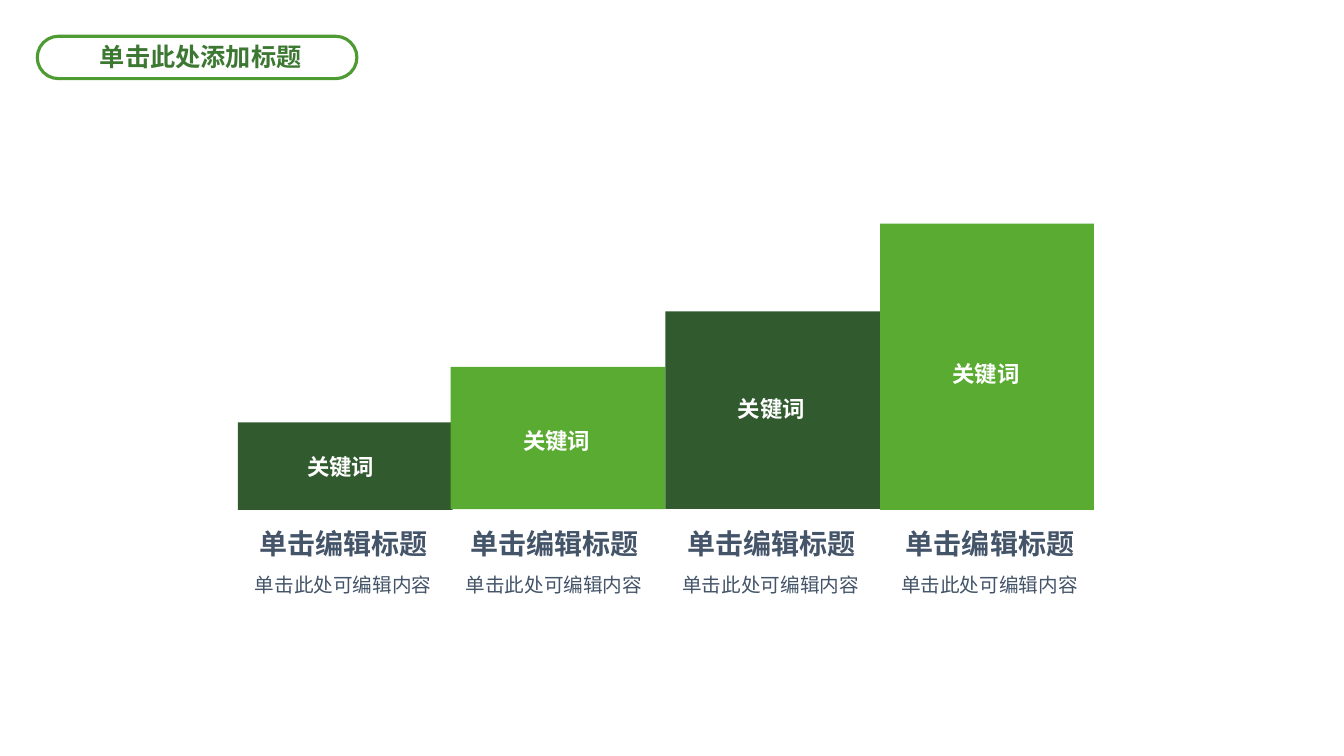
"""Build a slide of four rising steps with keywords and captions."""
from dataclasses import dataclass

import pptx
import pptx.dml.color
import pptx.enum.shapes
import pptx.enum.text
import pptx.oxml
import pptx.oxml.ns
import pptx.shapes.autoshape
import pptx.slide
import pptx.util

PX = 9144


@dataclass(frozen=True)
class Theme:
    """Colours, fonts and type sizes of the slide."""
    dark: str = "315B2F"
    light: str = "5AAB31"
    outline: str = "4F9B33"
    title: str = "3C7832"
    caption: str = "445469"
    white: str = "FFFFFF"
    latin: str = "Arial"
    asian: str = "Noto Sans CJK SC"
    title_size: int = 18
    heading_size: int = 20
    detail_size: int = 14
    keyword_size: int = 16


@dataclass(frozen=True)
class Frame:
    """A rectangle on the slide in px."""
    left: int
    top: int
    width: int
    height: int

    def emu(self) -> tuple[int, int, int, int]:
        """Return the rectangle in EMU."""
        return self.left * PX, self.top * PX, self.width * PX, self.height * PX


@dataclass(frozen=True)
class Style:
    """The look of one line of text."""
    size: int
    color: str
    bold: bool
    latin: str


@dataclass(frozen=True)
class Step:
    """One bar with the places of its texts."""
    bar: Frame
    fill: str
    keyword_left: int
    keyword_top: int
    caption_left: int


THEME = Theme()
TITLE = Style(THEME.title_size, THEME.title, True, THEME.asian)
HEADING = Style(THEME.heading_size, THEME.caption, True, THEME.latin)
DETAIL = Style(THEME.detail_size, THEME.caption, False, THEME.latin)
KEYWORD = Style(THEME.keyword_size, THEME.white, True, THEME.latin)

STEPS = [
    Step(Frame(236, 419, 213, 87), THEME.dark, 263, 450, 234),
    Step(Frame(447, 364, 213, 141), THEME.light, 477, 424, 443),
    Step(Frame(660, 309, 213, 196), THEME.dark, 690, 392, 658),
    Step(Frame(873, 222, 212, 284), THEME.light, 903, 357, 875),
]


def rgb(color: str) -> pptx.dml.color.RGBColor:
    """Turn a hex string into a colour."""
    return pptx.dml.color.RGBColor.from_string(color)


def write(box: pptx.shapes.autoshape.Shape, text: str, style: Style,
          align: pptx.enum.text.PP_ALIGN) -> None:
    """Fill a box with one formatted line."""
    frame = box.text_frame
    frame.text = text
    frame.vertical_anchor = pptx.enum.text.MSO_ANCHOR.TOP
    frame.auto_size = pptx.enum.text.MSO_AUTO_SIZE.SHAPE_TO_FIT_TEXT
    para = frame.paragraphs[0]
    para.alignment = align
    span = para.runs[0]
    span.font.size = pptx.util.Pt(style.size)
    span.font.bold = style.bold
    span.font.color.rgb = rgb(style.color)
    span.font.name = style.latin
    asian = pptx.oxml.parse_xml(
        f'<a:ea {pptx.oxml.ns.nsdecls("a")} typeface="{THEME.asian}"/>')
    span.font.fill
    span.font.color
    para.runs[0]._r.get_or_add_rPr().append(asian)


def add_label(page: pptx.slide.Slide, frame: Frame, text: str, style: Style) -> None:
    """Add a centred text box without insets."""
    box = page.shapes.add_textbox(*frame.emu())
    text_frame = box.text_frame
    text_frame.word_wrap = True
    text_frame.margin_left = text_frame.margin_right = 0
    text_frame.margin_top = text_frame.margin_bottom = 0
    write(box, text, style, pptx.enum.text.PP_ALIGN.CENTER)


def add_block(page: pptx.slide.Slide, kind: pptx.enum.shapes.MSO_SHAPE,
              frame: Frame, fill: str) -> pptx.shapes.autoshape.Shape:
    """Add a flat filled shape without outline."""
    block = page.shapes.add_shape(kind, *frame.emu())
    block.shadow.inherit = False
    block.fill.solid()
    block.fill.fore_color.rgb = rgb(fill)
    block.line.fill.background()
    return block


def add_step(page: pptx.slide.Slide, step: Step) -> None:
    """Add a bar, its caption and its keyword."""
    add_block(page, pptx.enum.shapes.MSO_SHAPE.RECTANGLE, step.bar, step.fill)
    add_label(page, Frame(step.caption_left, 522, 214, 34), "单击编辑标题", HEADING)
    add_label(page, Frame(step.caption_left, 568, 213, 24), "单击此处可编辑内容", DETAIL)
    add_label(page, Frame(step.keyword_left, step.keyword_top, 150, 27), "关键词", KEYWORD)


def add_title(page: pptx.slide.Slide) -> None:
    """Place the title in front of its outlined pill."""
    pill = add_block(page, pptx.enum.shapes.MSO_SHAPE.ROUNDED_RECTANGLE,
                     Frame(37, 36, 317, 42), THEME.white)
    pill.adjustments[0] = 0.5
    pill.line.color.rgb = rgb(THEME.outline)
    pill.line.width = pptx.util.Pt(2.25)
    title = page.shapes.title
    title.left, title.top, title.width, title.height = Frame(89, 36, 222, 40).emu()
    title.text_frame.word_wrap = False
    write(title, "单击此处添加标题", TITLE, pptx.enum.text.PP_ALIGN.LEFT)
    page.shapes.element.append(title.element)


def main() -> None:
    """Build and save the deck."""
    deck = pptx.Presentation()
    deck.slide_width, deck.slide_height = 1333 * PX, 750 * PX
    page = deck.slides.add_slide(deck.slide_layouts[5])
    for step in STEPS:
        add_step(page, step)
    add_title(page)
    deck.save("out.pptx")


if __name__ == "__main__":
    main()
